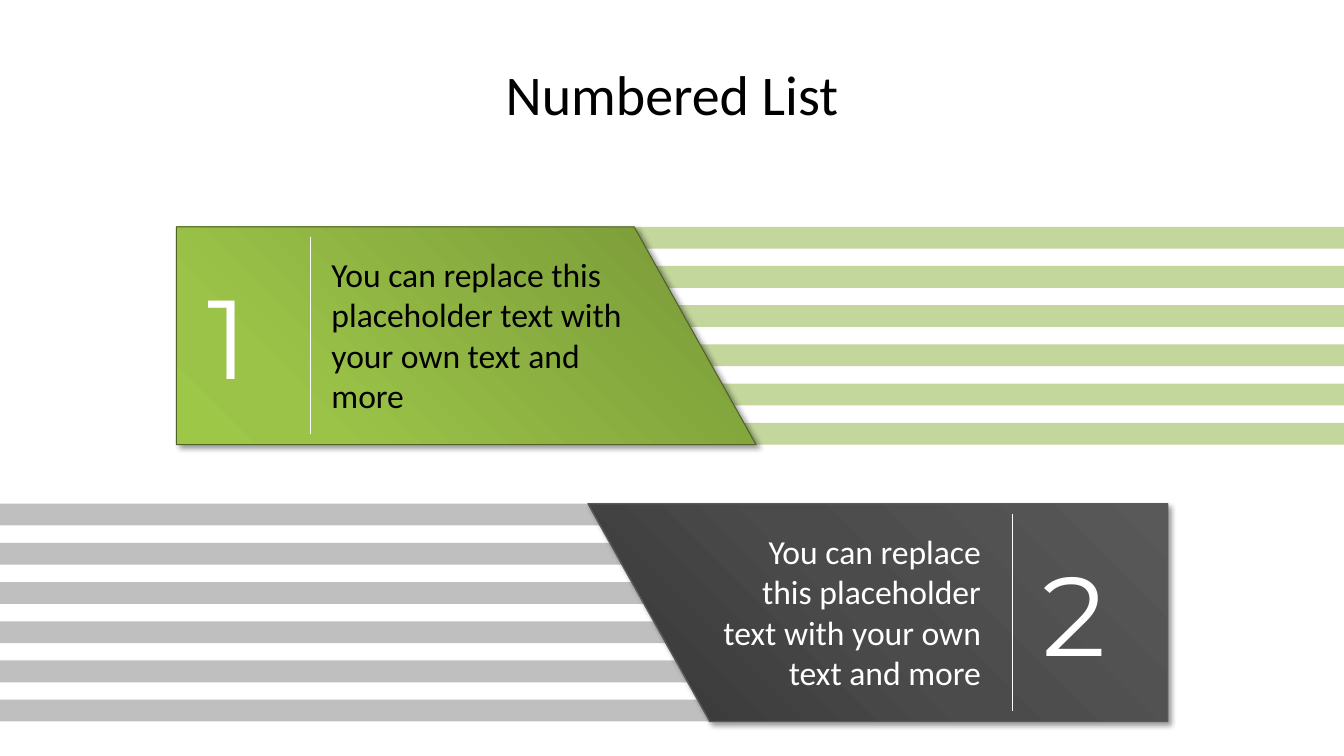
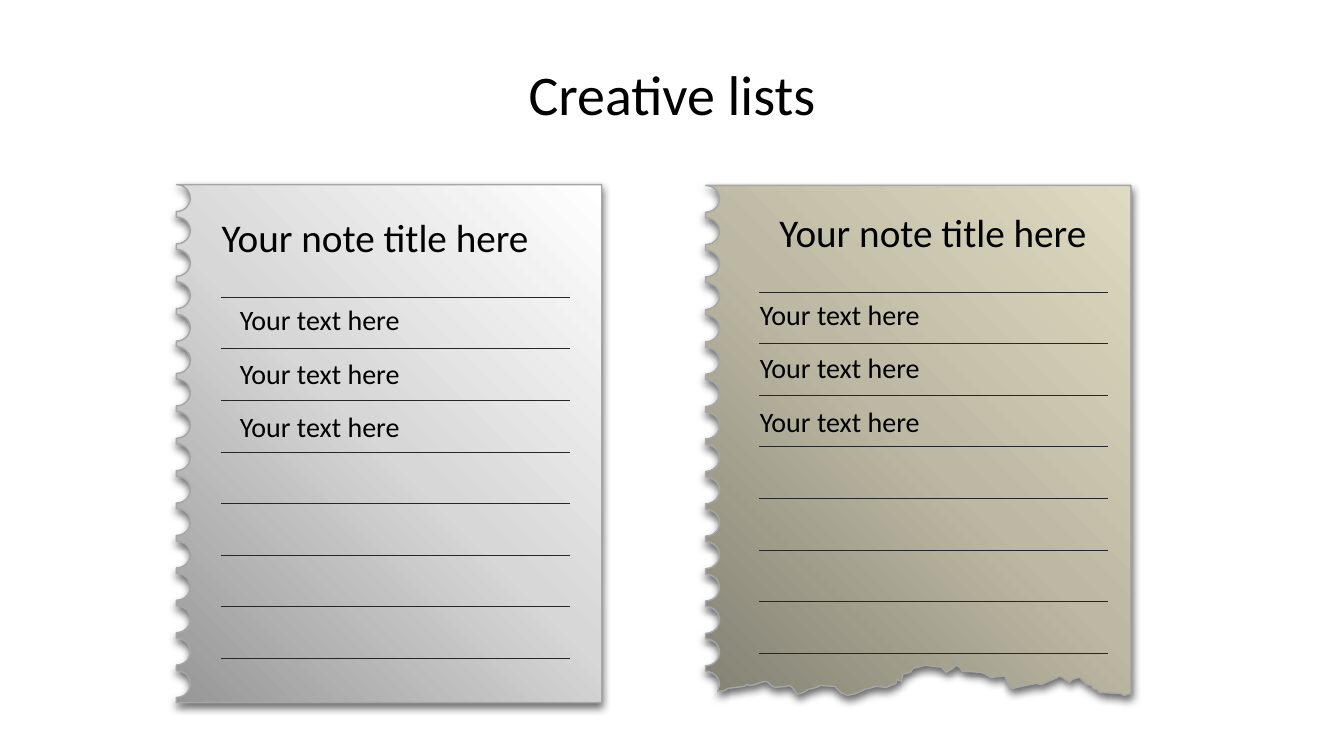
import math

from pptx import Presentation
from pptx.dml.color import RGBColor
from pptx.enum import shapes, text
from pptx.oxml import parse_xml
from pptx.oxml.ns import nsdecls
from pptx.util import Pt

LEFT, CENTER, RIGHT = text.PP_ALIGN.LEFT, text.PP_ALIGN.CENTER, text.PP_ALIGN.RIGHT
TOP, MIDDLE = text.MSO_ANCHOR.TOP, text.MSO_ANCHOR.MIDDLE
BLACK, WHITE, RULE = "000000", "FFFFFF", "262626"


def add_text(s, words, x, y, w, h, size, color=BLACK, align=LEFT,
             anchor=TOP, font="Calibri"):
    tf = s.shapes.add_textbox(Pt(x), Pt(y), Pt(w), Pt(h)).text_frame
    tf.word_wrap = True
    tf.vertical_anchor = anchor
    p = tf.paragraphs[0]
    p.text = words
    p.alignment = align
    p.font.name = font
    p.font.size = Pt(size)
    p.font.color.rgb = RGBColor.from_string(color)


def add_outline(s, points, stops, angle, line, width, shadow):
    """Closed outline with gradient fill and drop shadow."""
    points = [(Pt(x), Pt(y)) for x, y in points]
    builder = s.shapes.build_freeform(*points[0], scale=1.0)
    builder.add_line_segments(points[1:], close=True)
    sp = builder.convert_to_shape()
    gs = "".join(f'<a:gs pos="{pos * 1000}"><a:srgbClr val="{color}"/></a:gs>'
                 for pos, color in stops)
    sp._element.spPr.append(parse_xml(
        f'<a:gradFill {nsdecls("a")} rotWithShape="1"><a:gsLst>{gs}</a:gsLst>'
        f'<a:lin ang="{angle * 60000}" scaled="0"/></a:gradFill>'))
    sp.line.color.rgb = RGBColor.from_string(line)
    sp.line.width = Pt(width)
    alpha, blur, dist, direction = shadow
    sp._element.spPr.append(parse_xml(
        f'<a:effectLst {nsdecls("a")}><a:outerShdw blurRad="{Pt(blur)}" '
        f'dist="{Pt(dist)}" dir="{direction * 60000}" algn="tl" rotWithShape="0">'
        f'<a:srgbClr val="{BLACK}"><a:alpha val="{alpha * 1000}"/></a:srgbClr>'
        '</a:outerShdw></a:effectLst>'))


prs = Presentation()
prs.slide_width, prs.slide_height = Pt(960), Pt(540)

# Slides with their titles
slides = []
for title in ("Numbered List", "Creative lists"):
    s = prs.slides.add_slide(prs.slide_layouts[6])
    add_text(s, title, 48, 21.6, 864, 90, 40, align=CENTER, anchor=MIDDLE)
    slides.append(s)
numbered, creative = slides
rules = []  # slide, x1, y1, x2, y2, colour

# Numbered banners: striped band, slanted panel, number, divider, text
BANNER_H = 155.6
STRIPE_H, STRIPE_PITCH = 15.6, 28
banners = [
    dict(number="1", top=162, stripe_x=450.4, stripe="C3D69B",
         upper=(126, 453), lower=(126, 540), angle=135,
         stops=[(0, "779737"), (80, "9BC348"), (100, "9DC746")],
         line="4F6228", width=0.75, number_x=141, divider_x=222,
         text_x=229.7, text_w=232.5, color=BLACK, align=LEFT),
    dict(number="2", top=359.8, stripe_x=0, stripe="BFBFBF",
         upper=(420, 834), lower=(507, 834), angle=315,
         stops=[(0, "353535"), (50, "4B4B4B"), (100, "595959")],
         line="595959", width=1, number_x=737.3, divider_x=722.9,
         text_x=504, text_w=203.8, color=WHITE, align=RIGHT),
]
for b in banners:
    top, bottom = b["top"], b["top"] + BANNER_H
    for i in range(6):
        sp = numbered.shapes.add_shape(
            shapes.MSO_SHAPE.RECTANGLE, Pt(b["stripe_x"]),
            Pt(top + i * STRIPE_PITCH), Pt(509.6), Pt(STRIPE_H))
        sp.shadow.inherit = False
        sp.fill.solid()
        sp.fill.fore_color.rgb = RGBColor.from_string(b["stripe"])
        sp.line.fill.background()
    (ul, ur), (ll, lr) = b["upper"], b["lower"]
    add_outline(numbered, [(ul, top), (ur, top), (lr, bottom), (ll, bottom)],
                b["stops"], b["angle"], b["line"], b["width"], (40, 4, 3, 45))
    add_text(numbered, "You can replace this placeholder text with your own text and more",
             b["text_x"], top + 15.8, b["text_w"], 124, 24, b["color"], b["align"])
    add_text(numbered, b["number"], b["number_x"], top + 25.2, 72, 104.4, 80,
             WHITE, anchor=MIDDLE, font="Montserrat")
    rules.append((numbered, b["divider_x"], top + 7.5, b["divider_x"], bottom - 7.5, WHITE))

# Note sheets: perforated left edge, straight or torn bottom, ruled lines
SHEET_W, SHEET_H = 303.8, 370
NOTCHES, NOTCH_PITCH, NOTCH_RX, NOTCH_RY = 16, 23.14, 10, 9.6
LINE_PITCH, ITEM_PITCH = 36.84, 38.4
TORN_EDGE = [
    (807.8, 495.4), (803, 496.8), (800.5, 495.4), (785.5, 494.6), (783.4, 492.5),
    (780.5, 491.8), (779.8, 489.6), (776, 489), (774, 486.7), (771, 483.8),
    (766, 485.3), (764, 487.4), (759, 483.8), (756.7, 483), (753.8, 484.6),
    (743.8, 489), (740, 488.2), (733, 489.6), (730, 490.3), (723, 491.8),
    (720.7, 490.3), (717.8, 483), (707.8, 483.8), (702.7, 481), (699.8, 480.2),
    (687.6, 479.5), (685.4, 476.6), (683.3, 475.2), (679.7, 478), (676, 480.2),
    (672.5, 476.6), (661, 475.2), (652.3, 477.4), (650.2, 480.2), (645, 481.7),
    (643.7, 486.7), (640.8, 485.3), (640, 488.2), (638, 489), (633, 491),
    (625.7, 490.3), (617.8, 492.5), (611.3, 495.4), (605.5, 496.8), (602.6, 495.4),
    (600.5, 494.6), (596.2, 490.3), (586, 489.6), (583.2, 491), (577.4, 492.5),
    (573.8, 494.6), (569.5, 496), (566, 491), (563.8, 489.6), (561.6, 490.3),
    (553.7, 491), (550.8, 489.6), (548.6, 487.4), (546.5, 486.7), (543.6, 487.4),
    (539.3, 489), (535.7, 489.6), (533.5, 489), (531.4, 490.3), (519.8, 491.8),
    (517.7, 493.2), (512.6, 494),
]
sheets = [
    dict(left=126, top=131.9, torn=False, line_x=157.7, line_y=212.4,
         title=(151.2, 149, 261.4, LEFT), item_x=164.2,
         stops=[(0, "979797"), (50, "D7D7D7"), (100, "FFFFFF")]),
    dict(left=504, top=132.4, torn=True, line_x=542.2, line_y=208.7,
         title=(529.2, 145.4, 274.3, CENTER), item_x=535.7,
         stops=[(0, "848273"), (50, "BCB8A3"), (100, "DFDBC2")]),
]
for sheet in sheets:
    left, top = sheet["left"], sheet["top"]
    right, bottom = left + SHEET_W, top + SHEET_H
    points = [(left, top), (right, top)]
    points += TORN_EDGE if sheet["torn"] else [(right, bottom), (left, bottom)]
    for i in reversed(range(NOTCHES)):
        # The tear cuts the lowest notch in half
        start = 0 if sheet["torn"] and i == NOTCHES - 1 else 90
        for degrees in range(start, -91, -15):
            a = math.radians(degrees)
            points.append((left + NOTCH_RX * math.cos(a),
                           top + i * NOTCH_PITCH + NOTCH_RY * (1 + math.sin(a))))
    add_outline(creative, points, sheet["stops"], 315, "A6A6A6", 1, (58, 6, 3, 90))

    x, y = sheet["line_x"], sheet["line_y"]
    for i in range(8):
        line_y = y + i * LINE_PITCH
        rules.append((creative, x, line_y, x + 249.2, line_y, RULE))
    title_x, title_y, title_w, align = sheet["title"]
    add_text(creative, "Your note title here", title_x, title_y, title_w, 41, 28, align=align)
    for i in range(3):
        add_text(creative, "Your text here", sheet["item_x"], y + i * ITEM_PITCH, 138.2, 33.8, 20)

# Dividers and ruled lines
for s, x1, y1, x2, y2, color in rules:
    c = s.shapes.add_connector(shapes.MSO_CONNECTOR.STRAIGHT, Pt(x1), Pt(y1), Pt(x2), Pt(y2))
    c.line.color.rgb = RGBColor.from_string(color)
    c.line.width = Pt(0.75)
    c._element.spPr.append(parse_xml(f'<a:effectLst {nsdecls("a")}/>'))

prs.save("out.pptx")
